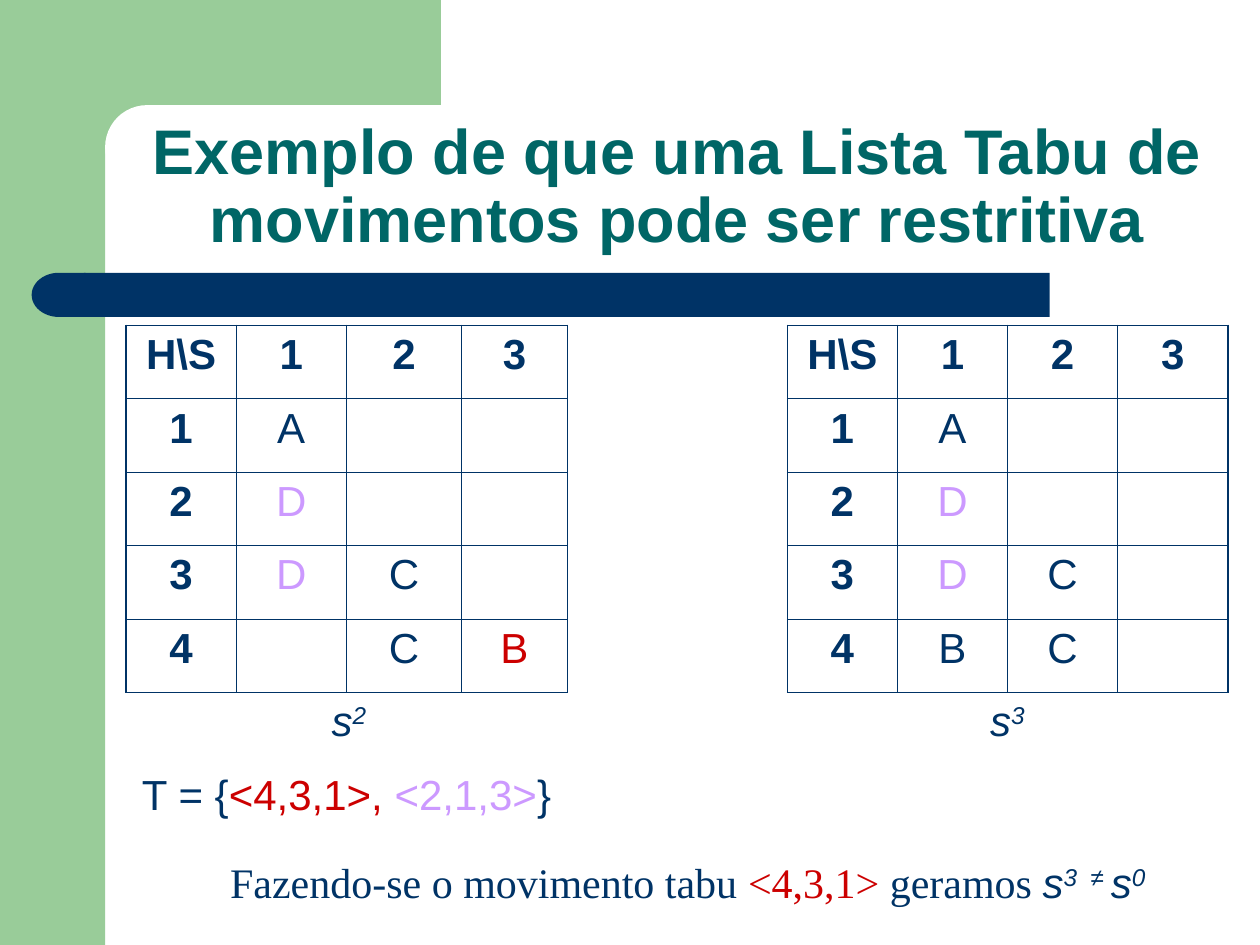
from lxml import etree
from pptx import Presentation
from pptx import util as u
from pptx.dml.color import RGBColor
from pptx.enum import shapes, text
from pptx.oxml import ns

GREEN = RGBColor(0x99, 0xCC, 0x99)
NAVY = RGBColor(0x00, 0x33, 0x66)
TEAL = RGBColor(0x00, 0x66, 0x66)
LILAC = RGBColor(0xCC, 0x99, 0xFF)
RED = RGBColor(0xCC, 0x00, 0x00)
WHITE = RGBColor(0xFF, 0xFF, 0xFF)

NO_STYLE = "{2D5ABB26-0587-4C30-8999-92F81FD0307C}"
COLUMN_WIDTHS = [2.22, 2.22, 2.33, 2.12] + [2.22] * 6
ROW_HEIGHT = 1.48
GRID_ROWS = 5
LEFT_GRID, RIGHT_GRID = 0, 6
GRID_COLUMNS = 4
THIN, THICK = 0.45, 1.08

HEADER = ["H\\S", "1", "2", "3"]
SCHEDULE_2 = [["A"], ["D"], ["D", "C"], ["", "C", "B"]]
SCHEDULE_3 = [["A"], ["D"], ["D", "C"], ["B", "C"]]


def add_block(parent, kind, box, color, corner=None):
    shape = parent.shapes.add_shape(kind, *[u.Cm(value) for value in box])
    shape.shadow.inherit = False
    shape.fill.solid()
    shape.fill.fore_color.rgb = color
    shape.line.fill.background()
    if corner is not None:
        shape.adjustments[0] = corner
    return shape


def add_run(paragraph, words, color=NAVY, size=24, font="Arial",
            bold=False, italic=False, raised=False):
    run = paragraph.add_run()
    run.text = words
    run.font.name = font
    run.font.size = u.Pt(size)
    run.font.bold = bold
    run.font.italic = italic
    run.font.color.rgb = color
    if raised:
        run.font._element.set("baseline", "30000")


def centred_paragraph(frame):
    paragraph = frame.paragraphs[0]
    paragraph.alignment = text.PP_ALIGN.CENTER
    return paragraph


def add_background(slide):
    kinds = shapes.MSO_SHAPE
    frame = slide.shapes.add_group_shape()
    add_block(frame, kinds.RECTANGLE, (0, 0, 2.12, 19.05), GREEN)
    add_block(frame, kinds.RECTANGLE, (1.9, 0, 6.99, 2.96), GREEN)
    add_block(slide, kinds.ROUNDED_RECTANGLE, (2.12, 2.12, 14.18, 1.69), WHITE, 0.5)
    bar = slide.shapes.add_group_shape()
    add_block(bar, kinds.ROUNDED_RECTANGLE, (1.69, 5.5, 19.47, 0.89), NAVY, 0)
    cap = add_block(bar, kinds.FLOWCHART_DELAY, (0.64, 5.5, 1.09, 0.89), NAVY)
    cap._element.spPr.find(ns.qn("a:xfrm")).set("flipH", "1")


def add_title(slide):
    title = slide.shapes.title
    title.left, title.top = u.Cm(2.54), u.Cm(2.12)
    title.width, title.height = u.Cm(22.23), u.Cm(3.18)
    frame = title.text_frame
    frame.word_wrap = True
    frame.auto_size = text.MSO_AUTO_SIZE.NONE
    frame.vertical_anchor = text.MSO_ANCHOR.BOTTOM
    paragraph = centred_paragraph(frame)
    paragraph.line_spacing = 0.9
    add_run(paragraph, "Exemplo de que uma Lista Tabu de movimentos pode ser restritiva",
            TEAL, 36, bold=True)
    slide.shapes._spTree.append(title._element)


def set_borders(cell, widths):
    properties = cell._tc.get_or_add_tcPr()
    for index, (side, width) in enumerate(widths.items()):
        line = etree.Element(ns.qn("a:" + side), w=str(u.Pt(width)))
        fill = etree.SubElement(line, ns.qn("a:solidFill"))
        etree.SubElement(fill, ns.qn("a:srgbClr"), val=str(NAVY))
        properties.insert(index, line)


def fill_grid(table, first_column, schedule, colors):
    last_column = len(COLUMN_WIDTHS) - 1
    rows = [HEADER] + [[str(number)] + jobs for number, jobs in enumerate(schedule, 1)]
    for row, labels in enumerate(rows):
        for offset in range(GRID_COLUMNS):
            column = first_column + offset
            cell = table.cell(row, column)
            set_borders(cell, {
                "lnL": THICK if column == 0 else THIN,
                "lnR": THICK if column == last_column else THIN,
                "lnT": THICK if row == 0 else THIN,
                "lnB": THIN,
            })
            if offset < len(labels) and labels[offset]:
                label = labels[offset]
                add_run(centred_paragraph(cell.text_frame), label,
                        colors.get(label, NAVY), bold=row == 0 or offset == 0)


def merged_paragraph(table, row, first, last):
    cell = table.cell(row, first)
    cell.merge(table.cell(row, last))
    return centred_paragraph(cell.text_frame)


def add_solution_name(paragraph, number):
    add_run(paragraph, "s", italic=True)
    add_run(paragraph, number, italic=True, raised=True)


def add_schedules(slide):
    row_count = GRID_ROWS + 2
    table = slide.shapes.add_table(
        row_count, len(COLUMN_WIDTHS), u.Cm(2.54), u.Cm(6.56),
        u.Cm(sum(COLUMN_WIDTHS)), u.Cm(ROW_HEIGHT * row_count)).table
    table.first_row = table.horz_banding = False
    table._tbl.tblPr.find(ns.qn("a:tableStyleId")).text = NO_STYLE
    for column, width in zip(table.columns, COLUMN_WIDTHS):
        column.width = u.Cm(width)
    for row in table.rows:
        row.height = u.Cm(ROW_HEIGHT)
        for cell in row.cells:
            cell.fill.background()

    fill_grid(table, LEFT_GRID, SCHEDULE_2, {"D": LILAC, "B": RED})
    fill_grid(table, RIGHT_GRID, SCHEDULE_3, {"D": LILAC})
    for start, number in ((LEFT_GRID, "2"), (RIGHT_GRID, "3")):
        add_solution_name(merged_paragraph(table, GRID_ROWS, start + 1, start + 2), number)

    tabu_list = merged_paragraph(table, GRID_ROWS + 1, LEFT_GRID, LEFT_GRID + 3)
    add_run(tabu_list, "T = {")
    add_run(tabu_list, "<4,3,1>, ", RED)
    add_run(tabu_list, "<2,1,3>", LILAC)
    add_run(tabu_list, "}")
    merged_paragraph(table, GRID_ROWS + 1, RIGHT_GRID, RIGHT_GRID + 3)


def add_conclusion(slide):
    box = slide.shapes.add_textbox(u.Cm(4.02), u.Cm(17.15), u.Cm(19.69), u.Cm(1.27))
    frame = box.text_frame
    frame.word_wrap = True
    frame.auto_size = text.MSO_AUTO_SIZE.SHAPE_TO_FIT_TEXT
    paragraph = centred_paragraph(frame)
    serif = "Times New Roman"
    add_run(paragraph, "Fazendo-se o movimento tabu ", font=serif)
    add_run(paragraph, "<4,3,1>", RED, font=serif)
    add_run(paragraph, " geramos ", font=serif)
    add_solution_name(paragraph, "3  ≠ ")
    add_solution_name(paragraph, "0")


def main():
    presentation = Presentation()
    presentation.slide_width = u.Cm(25.4)
    presentation.slide_height = u.Cm(19.05)
    slide = presentation.slides.add_slide(presentation.slide_layouts[5])
    add_background(slide)
    add_title(slide)
    add_schedules(slide)
    add_conclusion(slide)
    presentation.save("out.pptx")


if __name__ == "__main__":
    main()
